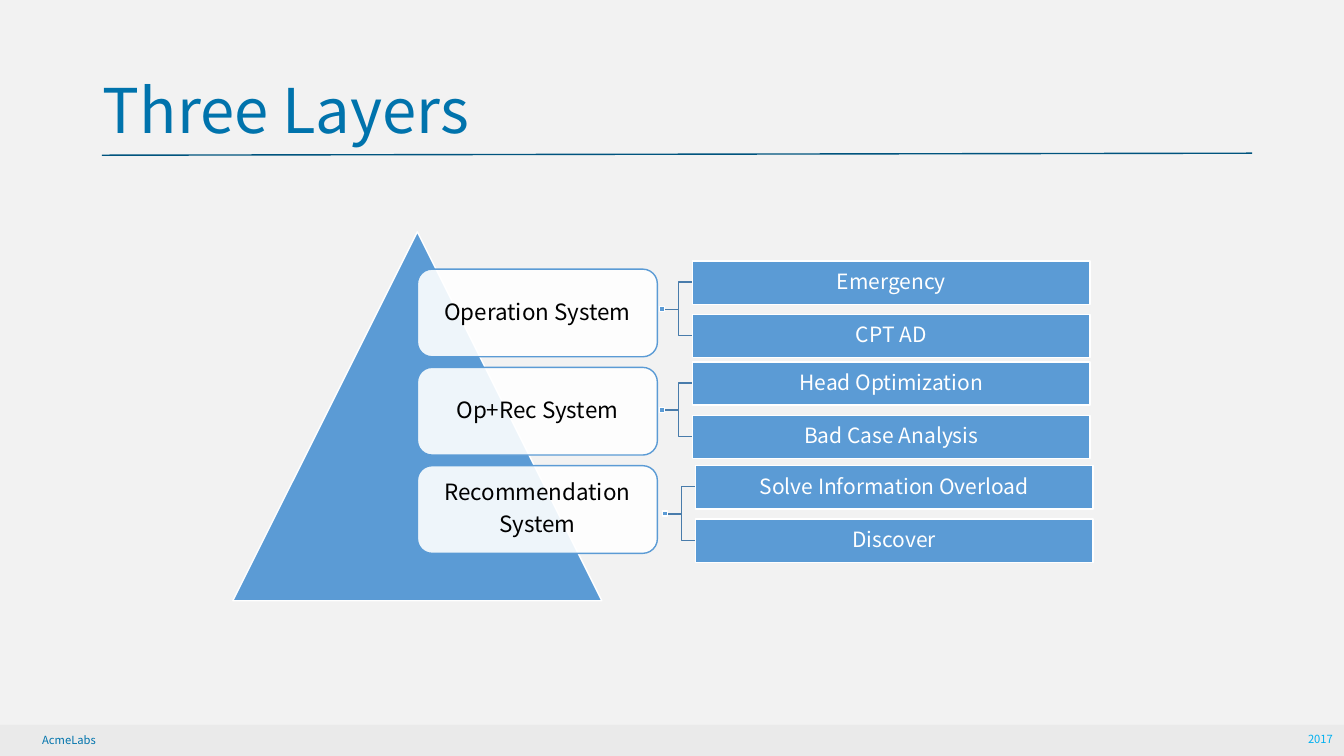
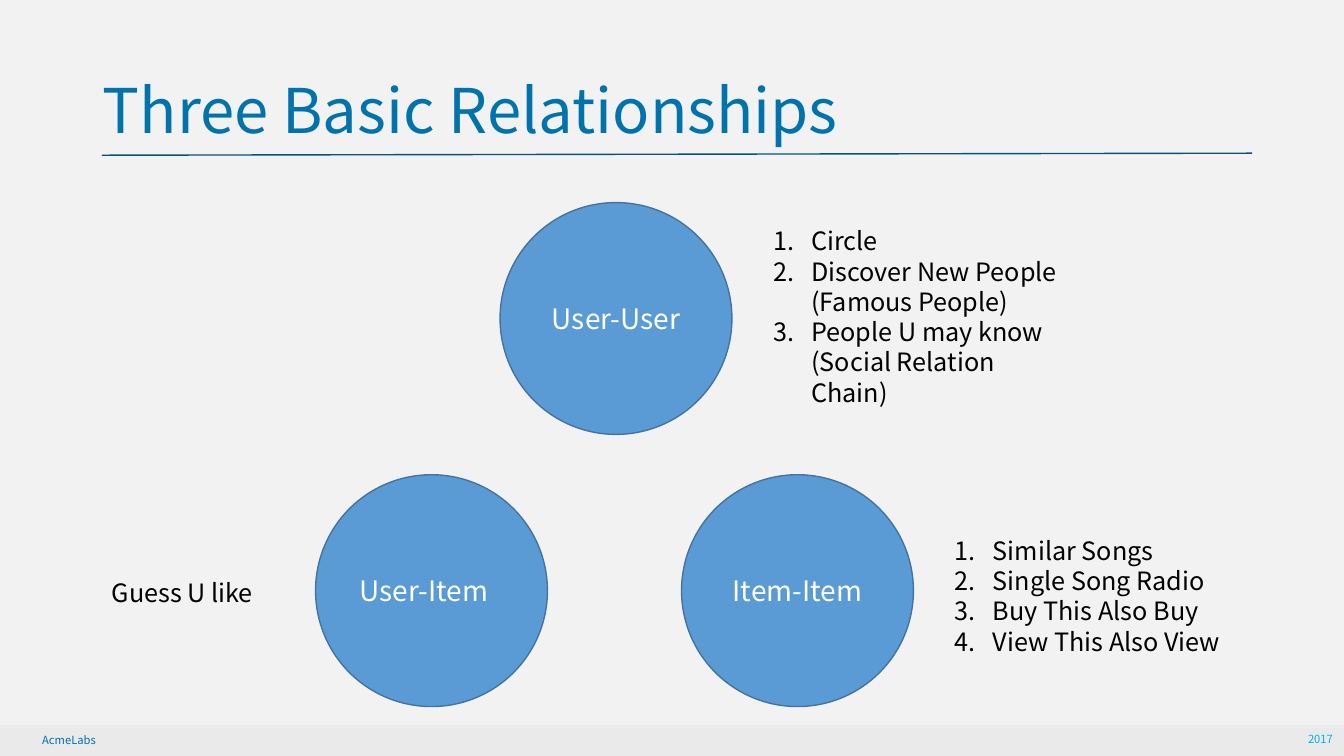
from pptx import Presentation, util as u
from pptx.dml.color import RGBColor
from pptx.enum import shapes, text
from pptx.oxml.ns import qn
from lxml import etree

LAYERS = [
    (["Operation System"], ["Emergency", "CPT AD"], (6.87, 2.59)),
    (["Op+Rec System"], ["Head Optimization", "Bad Case Analysis"], (6.87, 3.59)),
    (["Recommendation", "System"], ["Solve Information Overload", "Discover"], (6.9, 4.62)),
]
RELATIONS = [
    ("User-Item", (3.13, 4.71), 0.15, ["Guess U like"], (1.01, 5.68, 2.15, 0.37)),
    ("Item-Item", (6.76, 4.71), 0, [
        "Similar Songs", "Single Song Radio", "Buy This Also Buy", "View This Also View",
    ], (9.37, 5.26, 2.95, 1.2)),
    ("User-User", (4.96, 2.01), 0, [
        "Circle", "Discover New People (Famous People)",
        "People U may know (Social Relation Chain)",
    ], (7.57, 2.19, 3.13, 1.75)),
]
FOOT = [("AcmeLabs", 0.32, 7.23, "title", "LEFT"), ("2017", 9.72, 7.22, "year", "RIGHT")]

THEME = {
    "font": "Noto Sans CJK SC",
    "color": {
        "back": "F2F2F2", "band": "EAEAEA", "title": "0073AC", "rule": "00547E",
        "year": "00B0F0", "blue": "5B9BD5", "edge": "43739E", "link": "497CAB",
        "white": "FFFFFF", "black": "000000",
    },
    "size": {"title": 44, "foot": 8, "card": 16, "bar": 15, "disc": 20, "list": 18},
}
WIDE, HIGH = 13.33, 7.5
KIND = shapes.MSO_SHAPE


def tint(name):
    return RGBColor.from_string(THEME["color"][name])


def box(*vals):
    return [u.Inches(v) for v in vals]


def write(shape, lines, size, color, align="CENTER", anchor="MIDDLE", inset=None, **form):
    frame = shape.text_frame
    frame.word_wrap = True
    frame.auto_size = text.MSO_AUTO_SIZE.NONE
    frame.vertical_anchor = getattr(text.MSO_ANCHOR, anchor)
    if inset is not None:
        for side, gap in zip(("left", "top", "right", "bottom"), box(*inset)):
            setattr(frame, "margin_" + side, gap)
    form["alignment"] = getattr(text.PP_ALIGN, align)
    face = {"name": THEME["font"], "size": u.Pt(THEME["size"][size])}
    for i, line in enumerate(lines):
        para = frame.add_paragraph() if i else frame.paragraphs[0]
        run = para.add_run()
        run.text = line
        for key, val in form.items():
            setattr(para, key, val)
        for key, val in face.items():
            setattr(run.font, key, val)
        run.font.color.rgb = tint(color)
    return frame


def draw(slide, kind, area, fill, edge=None):
    shape = slide.shapes.add_shape(kind, *box(*area))
    shape.shadow.inherit = False
    shape.fill.solid()
    shape.fill.fore_color.rgb = tint(fill)
    if edge:
        shape.line.color.rgb = tint(edge)
        shape.line.width = u.Pt(1)
    else:
        shape.line.fill.background()
    return shape


def link(slide, ends, color, kind="STRAIGHT"):
    line = slide.shapes.add_connector(getattr(shapes.MSO_CONNECTOR, kind), *box(*ends))
    line.line.color.rgb = tint(color)
    line.line.width = u.Pt(1)
    etree.SubElement(line._element.spPr, qn("a:effectLst"))


def page(deck, name):
    slide = deck.slides.add_slide(deck.slide_layouts[5])
    link(slide, (1.01, 1.54, 12.42, 1.52), "rule")
    draw(slide, KIND.RECTANGLE, (0, 7.19, WIDE, HIGH - 7.19), "band")
    for label, x, y, color, align in FOOT:
        note = slide.shapes.add_textbox(*box(x, y, 3.6, 0.24))
        write(note, [label], "foot", color, align, "TOP")
    title = slide.shapes.title
    for key, val in zip(("left", "top", "width", "height"), box(0.92, 0.4, 11.5, 1.45)):
        setattr(title, key, val)
    write(title, [name], "title", "title", "LEFT", line_spacing=0.9)
    return slide


def spaced(size):
    return {"line_spacing": 0.9, "space_after": u.Pt(0.35 * THEME["size"][size])}


def layers(deck):
    slide = page(deck, "Three Layers")
    draw(slide, KIND.ISOSCELES_TRIANGLE, (2.31, 2.3, 3.66, 3.66), "blue", "white")
    for i, (name, parts, (x, y)) in enumerate(LAYERS):
        card = draw(slide, KIND.ROUNDED_RECTANGLE,
                    (4.14, 2.67 + 0.975 * i, 2.38, 0.87), "white", "blue")
        shade = card.fill._xPr.find(".//" + qn("a:srgbClr"))
        etree.SubElement(shade, qn("a:alpha"), val="90000")
        write(card, name, "card", "black", inset=[0.11] * 4, **spaced("card"))
        left, mid = x - 0.28, y + 0.48
        for j, part in enumerate(parts):
            top = y + 0.53 * j
            link(slide, (left, mid, x, top + 0.21), "link", "ELBOW")
            bar = draw(slide, KIND.RECTANGLE, (x, top, 3.94, 0.43), "blue", "white")
            write(bar, [part], "bar", "white", inset=[0.02] * 4, **spaced("bar"))
        draw(slide, KIND.RECTANGLE, (left - 0.05, mid - 0.03, 0.05, 0.05), "blue", "white")


def number(para):
    props = para._p.get_or_add_pPr()
    props.set("marL", str(u.Inches(0.38)))
    props.set("indent", str(-u.Inches(0.38)))
    etree.SubElement(props, qn("a:buFont"), typeface="+mj-lt")
    etree.SubElement(props, qn("a:buAutoNum"), type="arabicPeriod")


def relations(deck):
    slide = page(deck, "Three Basic Relationships")
    for name, spot, shift, items, area in RELATIONS:
        disc = draw(slide, KIND.OVAL, (*spot, 2.3, 2.3), "blue", "edge")
        write(disc, [name], "disc", "white", inset=(0, 0, shift, 0))
        note = slide.shapes.add_textbox(*box(*area))
        frame = write(note, items, "list", "black", "LEFT", "TOP")
        if len(items) > 1:
            for para in frame.paragraphs:
                number(para)


def main():
    deck = Presentation()
    deck.slide_width, deck.slide_height = box(WIDE, HIGH)
    back = deck.slide_master.background.fill
    back.solid()
    back.fore_color.rgb = tint("back")
    layers(deck)
    relations(deck)
    deck.save("out.pptx")


if __name__ == "__main__":
    main()
